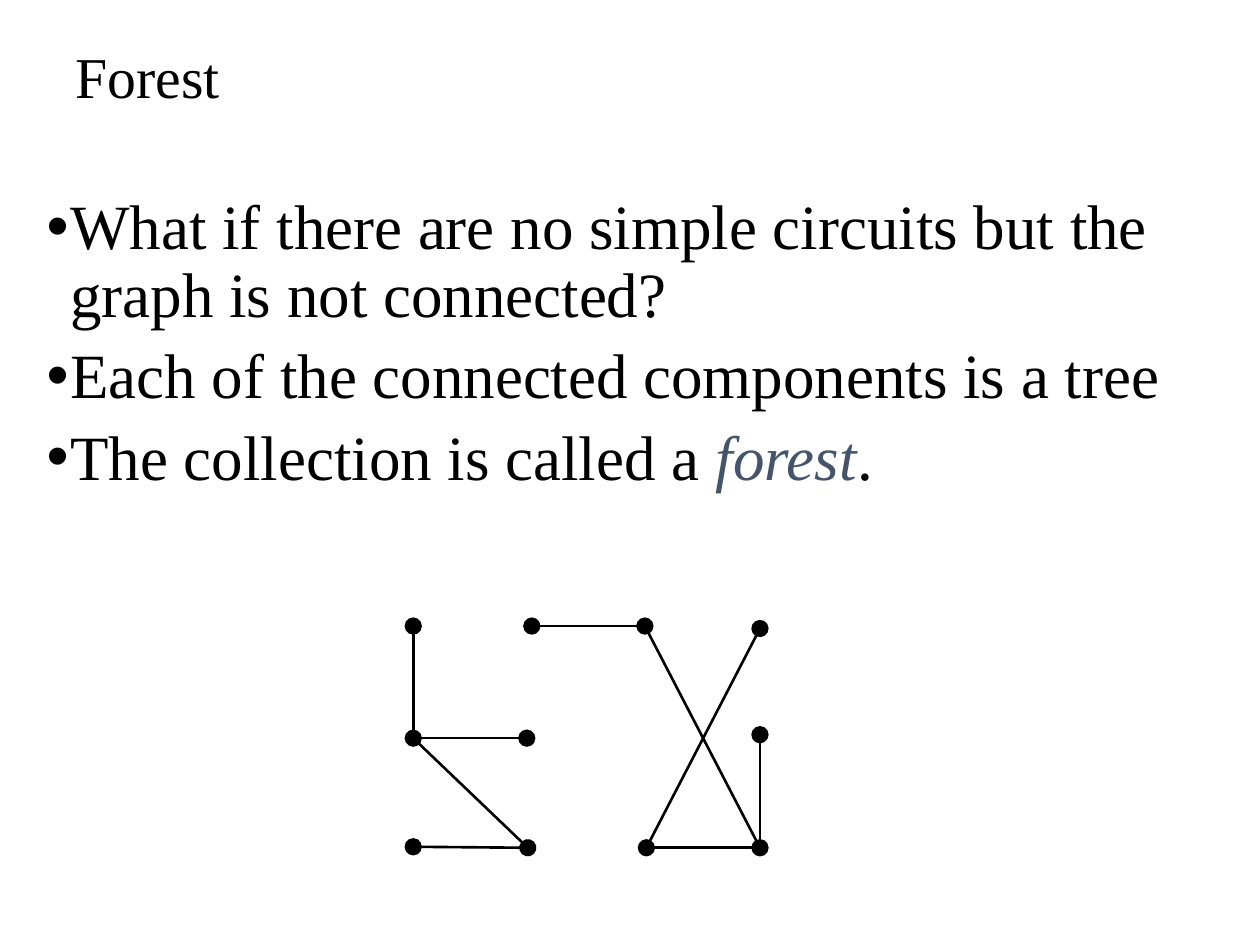
"""Build the Forest slide with its bullets and a graph of two trees."""
from lxml import etree
from pptx import Presentation
from pptx.dml.color import RGBColor
from pptx.enum.shapes import MSO_CONNECTOR
from pptx.enum.text import MSO_ANCHOR, MSO_AUTO_SIZE, PP_ALIGN
from pptx.oxml.ns import qn
from pptx.util import Cm, Pt

STRAIGHT = MSO_CONNECTOR.STRAIGHT
MIDDLE, TOP = MSO_ANCHOR.MIDDLE, MSO_ANCHOR.TOP
LEFT = PP_ALIGN.LEFT
NO_FIT = MSO_AUTO_SIZE.NONE

BLACK = RGBColor(0x00, 0x00, 0x00)
SLATE = RGBColor(0x44, 0x54, 0x6A)

BULLETS = [
    [("What if there are no simple circuits but the graph is not connected?", {})],
    [("Each of the connected components is a tree", {})],
    [
        ("The collection is called a ", {}),
        ("forest", {"italic": True, "color": SLATE}),
        (".", {}),
    ],
]

NODES = {
    "a": (8.33, 12.62), "b": (8.33, 14.88), "c": (10.62, 14.88),
    "d": (10.64, 17.09), "e": (8.33, 17.07),
    "f": (10.72, 12.62), "g": (13.0, 12.62), "h": (15.32, 12.67),
    "i": (15.32, 14.81), "j": (15.32, 17.09), "k": (13.03, 17.09),
}
EDGES = [
    ("b", "c", True), ("b", "a", False), ("b", "d", False),
    ("d", "e", False), ("k", "h", False), ("j", "k", False),
    ("j", "i", True), ("g", "j", False), ("g", "f", True),
]
UNDOTTED = ("g", "j")


def set_all(obj, values):
    """Set every attribute named in values on obj."""
    for name, value in values.items():
        setattr(obj, name, value)


class SlideBuilder:
    """Holds the style and the current slide."""

    font = "Times New Roman"
    line_spacing = 0.9

    def __init__(self, slide):
        self.s = slide

    def run(self, p, text, size, color=BLACK, italic=False):
        """Add one styled run to a paragraph."""
        r = p.add_run()
        r.text = text
        set_all(r.font, {"name": self.font, "size": Pt(size), "italic": italic})
        r.font.color.rgb = color

    def title(self, text, left, top, width, height, size):
        """Place and fill the title placeholder."""
        sp = self.s.shapes.title
        set_all(sp, {"left": Cm(left), "top": Cm(top),
                     "width": Cm(width), "height": Cm(height)})
        tf = sp.text_frame
        set_all(tf, {"vertical_anchor": MIDDLE, "auto_size": NO_FIT, "word_wrap": True})
        p = tf.paragraphs[0]
        set_all(p, {"alignment": LEFT, "line_spacing": self.line_spacing})
        self.run(p, text, size)

    def bullets(self, items, left, top, width, height, size, indent):
        """Add a bulleted text box."""
        tf = self.s.shapes.add_textbox(Cm(left), Cm(top), Cm(width), Cm(height)).text_frame
        set_all(tf, {"margin_left": 0, "margin_right": 0, "word_wrap": True,
                     "vertical_anchor": TOP, "auto_size": NO_FIT})
        for n, runs in enumerate(items):
            p = tf.add_paragraph() if n else tf.paragraphs[0]
            set_all(p, {"line_spacing": self.line_spacing,
                        "space_before": Pt(7.5 if n else 0)})
            pPr = p._p.get_or_add_pPr()
            pPr.set("marL", str(Cm(indent)))
            pPr.set("indent", str(-Cm(indent)))
            etree.SubElement(pPr, qn("a:buFont")).set("typeface", "Arial")
            etree.SubElement(pPr, qn("a:buChar")).set("char", "•")
            for text, style in runs:
                self.run(p, text, size, **style)

    def edge(self, start, end, dots):
        """Draw a line with a round dot at each of the named ends."""
        cxn = self.s.shapes.add_connector(STRAIGHT, *map(Cm, start + end))
        cxn.line.color.rgb = BLACK
        cxn.line.width = Pt(1.5)
        ln = cxn.line._get_or_add_ln()
        for tag in dots:
            dot = etree.SubElement(ln, qn(tag))
            for name, value in {"type": "oval", "w": "lg", "len": "lg"}.items():
                dot.set(name, value)
        etree.SubElement(cxn._element.spPr, qn("a:effectLst"))


def main():
    """Build and save the slide."""
    prs = Presentation()
    prs.slide_width, prs.slide_height = Cm(25.4), Cm(19.05)
    page = SlideBuilder(prs.slides.add_slide(prs.slide_layouts[5]))
    page.title("Forest", 1.27, 0.43, 22.86, 2.34, size=33)
    page.bullets(BULLETS, 0.94, 3.81, 23.8, 7.62, size=36, indent=0.48)
    for start, end, both in EDGES:
        dots = ["a:headEnd", "a:tailEnd"] if both else ["a:tailEnd"]
        if (start, end) == UNDOTTED:
            dots = []
        page.edge(NODES[start], NODES[end], dots)
    prs.save("out.pptx")


if __name__ == "__main__":
    main()
